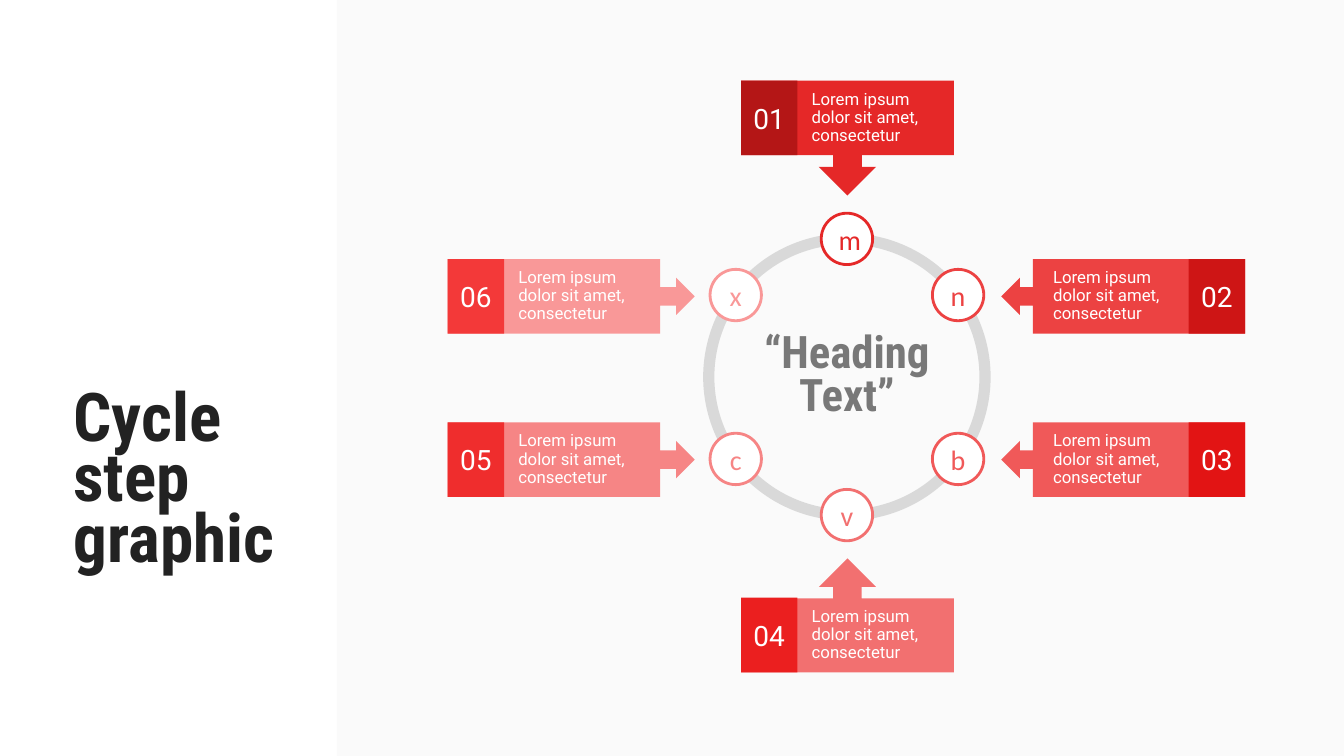
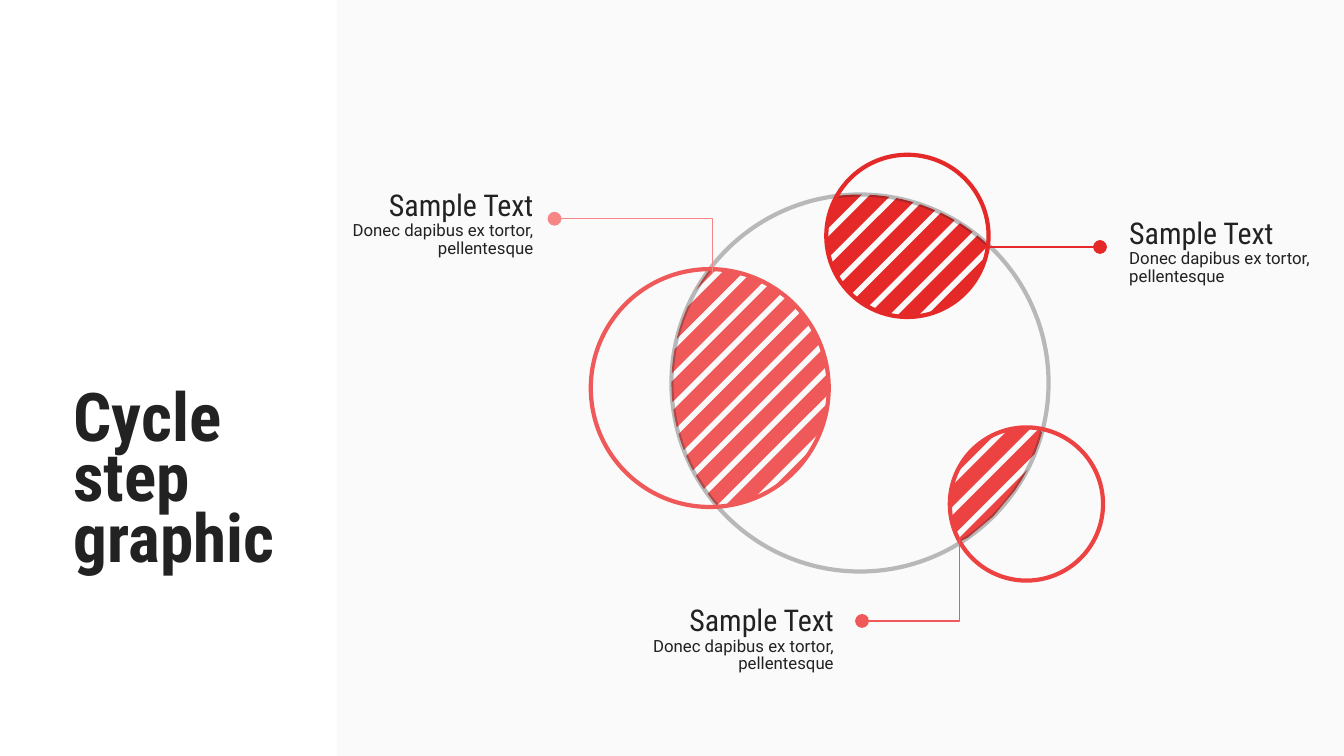
from dataclasses import dataclass
from math import cos, radians, sin, sqrt

from lxml.etree import SubElement
from pptx import Presentation
from pptx.dml.color import RGBColor
from pptx.enum.shapes import MSO_CONNECTOR, MSO_SHAPE
from pptx.enum.text import MSO_ANCHOR, PP_ALIGN
from pptx.oxml.ns import qn
from pptx.util import Inches, Pt


@dataclass(frozen=True)
class Theme:
    ink: str = "222222"
    white: str = "FFFFFF"
    tints: tuple = ("E52828", "EC4242", "F05959", "F27070", "F68585", "F99898")
    shades: tuple = ("B41616", "CE1515", "E21414", "EB1F1F", "EF2D2D", "F33939")
    head: str = "Roboto Condensed"
    body: str = "Roboto"
    icon: str = "Calibri"
    title_size: float = 48
    heading_size: float = 32
    label_size: float = 21.4
    number_size: float = 20
    body_size: float = 12
    leader_width: float = 0.9


T = Theme()
TITLE = "Cycle\vstep\vgraphic"
STEP_TEXT = "Lorem ipsum dolor sit amet, consectetur"
LABEL_TEXT = ("Sample Text", "Donec dapibus ex tortor, pellentesque")

# Stripes run along lines of equal x + y, in inches
STRIPE_PITCH = 0.88 / 3
STRIPE_WIDTH = 0.21
STRIPE_CUTS = 3

SIDE_INSETS = (0.7, 0, 0.1, 0)
CALLOUTS = {
    "down": (MSO_SHAPE.DOWN_ARROW_CALLOUT, None, SIDE_INSETS),
    "up": (MSO_SHAPE.UP_ARROW_CALLOUT, None, SIDE_INSETS),
    "left": (MSO_SHAPE.LEFT_ARROW_CALLOUT, 0.87, (0.2, 0, 0.7, 0)),
    "right": (MSO_SHAPE.RIGHT_ARROW_CALLOUT, 0.86, SIDE_INSETS),
}
# letter, angle on the ring, arrow direction, card box
STEPS = (
    ("m", -90, "down", (7.35, 0.8, 2.11, 1.14)),
    ("n", -36.4, "left", (9.93, 2.57, 2.42, 0.74)),
    ("b", 36.4, "left", (9.93, 4.19, 2.42, 0.74)),
    ("v", 90, "up", (7.35, 5.54, 2.11, 1.13)),
    ("c", 143.6, "right", (4.44, 4.19, 2.45, 0.74)),
    ("x", -143.6, "right", (4.44, 2.57, 2.45, 0.74)),
)


def rgb(color):
    return RGBColor.from_string(color)


def fade(elm, percent):
    """Set the opacity of every colour inside the element."""
    for clr in elm.iter(qn("a:srgbClr")):
        SubElement(clr, qn("a:alpha")).set("val", str(percent * 1000))


def set_line(sp, color, width):
    sp.line.color.rgb = rgb(color)
    sp.line.width = Pt(width)


def paint(sp, fill=None, line=None, width=1):
    sp.shadow.inherit = False
    if fill:
        sp.fill.solid()
        sp.fill.fore_color.rgb = rgb(fill)
    else:
        sp.fill.background()
    if line:
        set_line(sp, line, width)
    else:
        sp.line.fill.background()


def add_box(s, kind, box, **style):
    sp = s.shapes.add_shape(kind, *map(Inches, box))
    paint(sp, **style)
    return sp


def add_circle(s, center, size, **style):
    x, y = center
    return add_box(s, MSO_SHAPE.OVAL, (x - size / 2, y - size / 2, size, size), **style)


def write(p, text, font, size, color, align=PP_ALIGN.LEFT, spacing=1.0, bold=False):
    p.text = text
    p.alignment = align
    p.line_spacing = spacing
    formats = {"name": font, "size": Pt(size), "bold": bold}
    for r in p.runs:
        for key, value in formats.items():
            setattr(r.font, key, value)
        r.font.color.rgb = rgb(color)


def set_frame(tf, insets=(0.1, 0.05, 0.1, 0.05), anchor=MSO_ANCHOR.MIDDLE):
    left, top, right, bottom = map(Inches, insets)
    formats = {"margin_left": left, "margin_top": top, "margin_right": right,
               "margin_bottom": bottom, "vertical_anchor": anchor, "word_wrap": True}
    for key, value in formats.items():
        setattr(tf, key, value)


def fill_text(sp, text, font, size, color, **style):
    set_frame(sp.text_frame)
    write(sp.text_frame.paragraphs[0], text, font, size, color, PP_ALIGN.CENTER, **style)


def share_panel(s):
    """Put the tinted panel on the layout, behind all its slides."""
    layout = s.slide_layout
    for ph in list(layout.placeholders):
        ph.element.getparent().remove(ph.element)
    panel = add_box(s, MSO_SHAPE.RECTANGLE, (3.34, 0, 9.99, 7.5), fill=T.ink)
    fade(panel.element.spPr, 2)
    layout.shapes.element.insert(2, panel.element)


def add_title(s):
    tf = s.shapes.add_textbox(*map(Inches, (0.63, 3.85, 2.8, 2.37))).text_frame
    set_frame(tf, anchor=MSO_ANCHOR.TOP)
    write(tf.paragraphs[0], TITLE, T.head, T.title_size, T.ink, spacing=0.75, bold=True)


def add_card(s, number, direction, box, tint, shade):
    """Add an arrow callout with a number badge on its outer end."""
    kind, body_share, insets = CALLOUTS[direction]
    card = add_box(s, kind, box, fill=tint)
    if body_share:
        card.adjustments[3] = body_share
    set_frame(card.text_frame, insets)
    write(card.text_frame.paragraphs[0], STEP_TEXT, T.body, T.body_size, T.white,
          spacing=0.9)

    x, y, w, h = box
    badge_w, badge_h = 0.56, 0.74
    if direction == "left":
        x += w - badge_w
    if direction == "up":
        y += h - badge_h
    badge = add_box(s, MSO_SHAPE.RECTANGLE, (x, y, badge_w, badge_h), fill=shade)
    fill_text(badge, f"{number:02}", T.body, T.number_size, T.white)


def on_circle(center, size, angle):
    a = radians(angle)
    return center[0] + size / 2 * cos(a), center[1] + size / 2 * sin(a)


def add_step_cycle(s):
    center, size = (8.4, 3.74), 2.74
    ring = add_circle(s, center, size, line=T.ink, width=8)
    fill_text(ring, "“Heading Text”", T.head, T.heading_size, T.ink,
              spacing=0.8, bold=True)
    fade(ring.element.spPr, 15)
    fade(ring.element.txBody, 60)
    for i, (letter, angle, direction, box) in enumerate(STEPS):
        tint = T.tints[i]
        node = add_circle(s, on_circle(center, size, angle), 0.51,
                          fill=T.white, line=tint, width=2)
        fill_text(node, letter, T.icon, T.number_size, tint)
        add_card(s, i + 1, direction, box, tint, T.shades[i])


def add_outline(s, points, close, **style):
    start, *rest = [tuple(map(Inches, pt)) for pt in points]
    builder = s.shapes.build_freeform(*start)
    builder.add_line_segments(rest, close=close)
    sp = builder.convert_to_shape()
    paint(sp, **style)
    return sp


def chord(circles, level):
    """Give both ends of the line x + y = level inside all circles, or None."""
    spans = []
    for (x, y), size in circles:
        reach = sqrt(max(0, size ** 2 / 2 - (level - x - y) ** 2))
        spans.append((x - y - reach, x - y + reach))
    low, high = max(a for a, _ in spans), min(b for _, b in spans)
    if low > high:
        return None
    return [((level + d) / 2, (level - d) / 2) for d in (low, high)]


def add_stripes(s, circles, start, color):
    """Hatch the overlap of the circles with diagonal stripes."""
    floor = max(x + y - size / sqrt(2) for (x, y), size in circles)
    ceiling = min(x + y + size / sqrt(2) for (x, y), size in circles)
    while start < ceiling:
        low, high = max(start, floor), min(start + STRIPE_WIDTH, ceiling)
        levels = [low + (high - low) * i / STRIPE_CUTS for i in range(STRIPE_CUTS + 1)]
        chords = [ends for ends in (chord(circles, v) for v in levels) if ends]
        if len(chords) > 1:
            outline = [a for a, _ in chords] + [b for _, b in reversed(chords)]
            add_outline(s, outline, True, fill=color)
        start += STRIPE_PITCH


def add_dot(sp):
    """End the start of a line with a large round head."""
    dot = SubElement(sp.element.spPr.find(qn("a:ln")), qn("a:headEnd"))
    for key, value in {"type": "oval", "w": "lg", "len": "lg"}.items():
        dot.set(key, value)


def add_straight_leader(s, start, end, color):
    line = s.shapes.add_connector(MSO_CONNECTOR.STRAIGHT, *map(Inches, start + end))
    set_line(line, color, T.leader_width)
    add_dot(line)
    SubElement(line.element.spPr, qn("a:effectLst"))


def add_bent_leader(s, start, end, color):
    corner = (end[0], start[1])
    add_dot(add_outline(s, (start, corner, end), False, line=color, width=T.leader_width))


def add_label(s, x, y, align):
    tf = s.shapes.add_textbox(*map(Inches, (x, y, 2.44, 0.8))).text_frame
    set_frame(tf, (0.13, 0.05, 0.13, 0.07), MSO_ANCHOR.TOP)
    heading, detail = LABEL_TEXT
    write(tf.paragraphs[0], heading, T.head, T.label_size, T.ink, align, 0.89)
    write(tf.add_paragraph(), detail, T.body, T.body_size, T.ink, align, 0.89)


def add_overlap_cycle(s):
    hub = ((8.53, 3.8), 3.74)
    # center, size, first stripe, colour
    satellites = (
        ((9.0, 2.34), 1.61, 10.27, T.tints[0]),
        ((7.04, 3.85), 2.36, 9.57, T.tints[2]),
        ((10.18, 5.0), 1.52, 13.97, T.tints[1]),
    )
    for center, size, start, color in satellites:
        add_stripes(s, ((center, size), hub), start, color)
    ring = add_circle(s, *hub, line=T.ink, width=3)
    fade(ring.element.spPr, 30)
    for center, size, _, color in satellites:
        add_circle(s, center, size, line=color, width=3)

    add_straight_leader(s, (10.91, 2.45), (9.8, 2.45), T.tints[0])
    add_bent_leader(s, (8.55, 6.16), (9.52, 5.34), T.tints[2])
    add_bent_leader(s, (5.5, 2.17), (7.07, 2.71), T.tints[4])
    for x, y, align in ((11.07, 2.12, PP_ALIGN.LEFT), (5.96, 5.96, PP_ALIGN.RIGHT),
                        (2.98, 1.84, PP_ALIGN.RIGHT)):
        add_label(s, x, y, align)


def main():
    prs = Presentation()
    prs.slide_width, prs.slide_height = Inches(13.33), Inches(7.5)
    graphics = (add_step_cycle, add_overlap_cycle)
    slides = [prs.slides.add_slide(prs.slide_layouts[6]) for _ in graphics]
    share_panel(slides[0])
    for s, add_graphic in zip(slides, graphics):
        add_graphic(s)
        add_title(s)
    prs.save("out.pptx")


if __name__ == "__main__":
    main()
